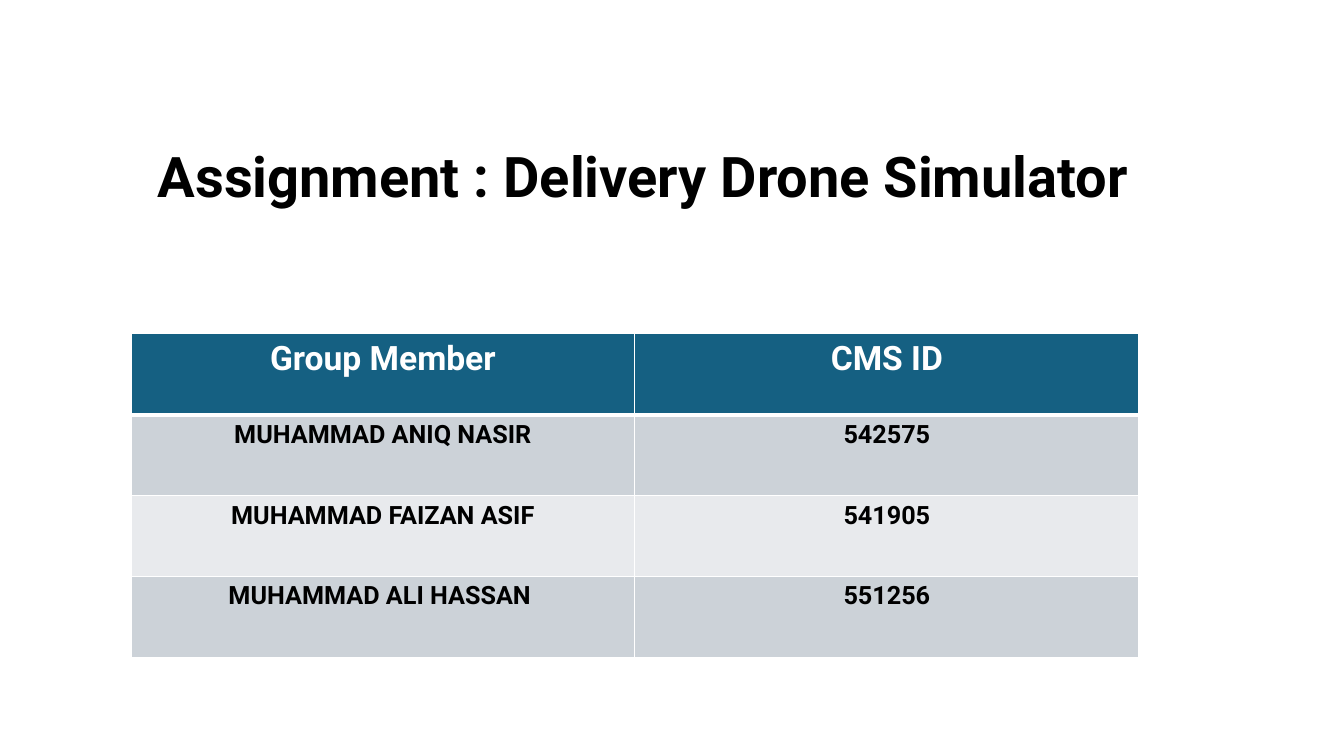
from dataclasses import dataclass

from lxml import etree
from pptx import Presentation
from pptx import util as u
from pptx.dml import color
from pptx.enum import text
from pptx.oxml import ns


@dataclass(frozen=True)
class Theme:
    font: str = "Roboto"
    black: str = "000000"
    white: str = "FFFFFF"
    header: str = "156082"
    bands: tuple = ("CCD2D8", "E8EAED")
    title_size: int = 40
    header_size: int = 24
    body_size: int = 18
    thin: int = 1
    thick: int = 3


THEME = Theme()
MEMBERS = [
    ("Group Member", "CMS ID"),
    ("MUHAMMAD ANIQ NASIR", "542575"),
    ("MUHAMMAD FAIZAN ASIF", "541905"),
    ("MUHAMMAD ALI HASSAN ", "551256"),
]


def write(frame, words, size, ink):
    para = frame.paragraphs[0]
    para.alignment = text.PP_ALIGN.CENTER
    span = para.add_run()
    span.text = words
    span.font.name = THEME.font
    span.font.size = u.Pt(size)
    span.font.bold = True
    span.font.color.rgb = color.RGBColor.from_string(ink)


def add_title(page, words):
    box = page.shapes.add_textbox(u.Cm(2.18), u.Cm(3.45), u.Cm(28.04), u.Cm(1.96))
    box.text_frame.word_wrap = True
    write(box.text_frame, words, THEME.title_size, THEME.black)


def set_borders(cell, top, bottom):
    properties = cell._tc.get_or_add_tcPr()
    widths = {"lnL": THEME.thin, "lnR": THEME.thin, "lnT": top, "lnB": bottom}
    for place, (side, width) in enumerate(widths.items()):
        line = etree.Element(ns.qn(f"a:{side}"), w=str(u.Pt(width)))
        fill = etree.SubElement(line, ns.qn("a:solidFill"))
        etree.SubElement(fill, ns.qn("a:srgbClr"), val=THEME.white)
        properties.insert(place, line)


def style_cell(cell, words, row):
    is_header = row == 0
    fill = THEME.header if is_header else THEME.bands[(row - 1) % 2]
    cell.fill.solid()
    cell.fill.fore_color.rgb = color.RGBColor.from_string(fill)
    set_borders(
        cell,
        THEME.thick if row == 1 else THEME.thin,
        THEME.thick if is_header else THEME.thin,
    )
    size = THEME.header_size if is_header else THEME.body_size
    write(cell.text_frame, words, size, THEME.white if is_header else THEME.black)


def add_member_table(page, rows):
    row_height = u.Cm(2.04)
    table = page.shapes.add_table(
        len(rows), len(rows[0]), u.Cm(3.3), u.Cm(8.41), u.Cm(25.4), row_height * len(rows)
    ).table
    for row, values in enumerate(rows):
        table.rows[row].height = row_height
        for column, words in enumerate(values):
            style_cell(table.cell(row, column), words, row)


def main():
    deck = Presentation()
    deck.slide_width, deck.slide_height = u.Cm(33.87), u.Cm(19.05)
    page = deck.slides.add_slide(deck.slide_layouts[6])
    add_title(page, "Assignment : Delivery Drone Simulator")
    add_member_table(page, MEMBERS)
    deck.save("out.pptx")


if __name__ == "__main__":
    main()
